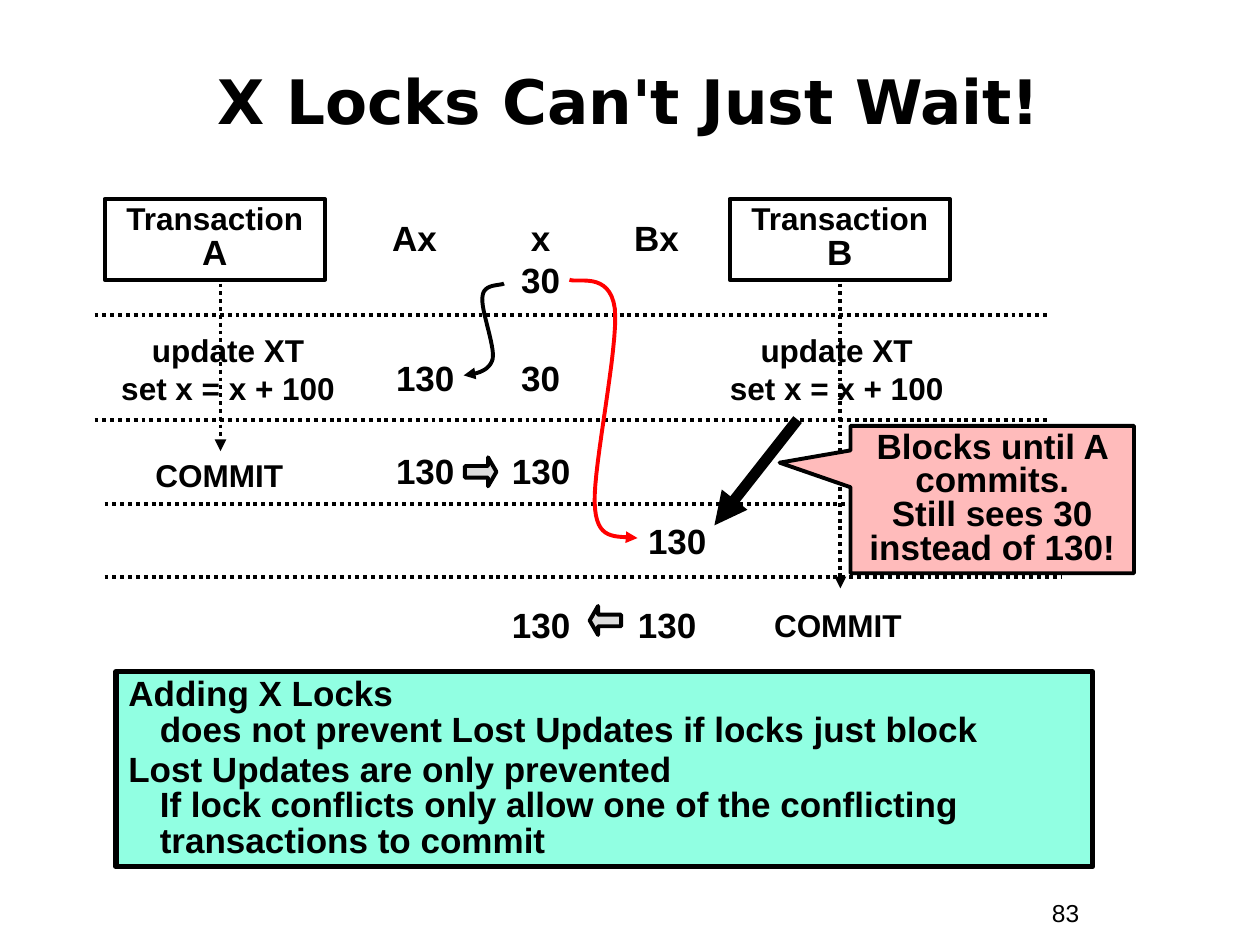
from dataclasses import dataclass

from lxml import etree
from pptx import Presentation
from pptx.dml.color import RGBColor
from pptx.enum.dml import MSO_LINE
from pptx.enum.shapes import MSO_CONNECTOR, MSO_SHAPE
from pptx.enum.text import MSO_ANCHOR, PP_ALIGN
from pptx.oxml.ns import qn
from pptx.util import Inches, Pt

LEFT, CENTER = PP_ALIGN.LEFT, PP_ALIGN.CENTER
TOP, MIDDLE = MSO_ANCHOR.TOP, MSO_ANCHOR.MIDDLE
RECTANGLE, CALLOUT = MSO_SHAPE.RECTANGLE, MSO_SHAPE.RECTANGULAR_CALLOUT
DOTTED = MSO_LINE.ROUND_DOT


@dataclass(frozen=True)
class Theme:
    ink: RGBColor = RGBColor(0, 0, 0)
    red: RGBColor = RGBColor(0xFF, 0, 0)
    mint: RGBColor = RGBColor(0x91, 0xFF, 0xE2)
    pink: RGBColor = RGBColor(0xFF, 0xBB, 0xBB)
    grey: RGBColor = RGBColor(0xDD, 0xDD, 0xDD)
    body_font: str = "Arial"
    title_font: str = "DejaVu Sans"
    title: int = 35
    value: int = 20
    label: int = 18
    number: int = 14
    line: float = 2.25
    frame: float = 3
    thick: float = 6.25


theme = Theme()


def write(shape, paragraphs, align=CENTER, anchor=TOP, spacing=1.0,
          font=theme.body_font, bold=True):
    """Fill a shape; each paragraph is a list of (text, size), "\\n" breaks a line."""
    frame = shape.text_frame
    frame.word_wrap = True
    frame.vertical_anchor = anchor
    for index, spans in enumerate(paragraphs):
        para = frame.add_paragraph() if index else frame.paragraphs[0]
        para.alignment = align
        para.line_spacing = spacing
        if index:
            para.space_before = Pt(2.5)
        for text, size in spans:
            for row, line in enumerate(text.split("\n")):
                if row:
                    para.add_line_break()
                span = para.add_run()
                span.text = line
                span.font.name = font
                span.font.size = Pt(size)
                span.font.bold = bold
                span.font.color.rgb = theme.ink


def outline(shape, width=theme.line, color=theme.ink, dash=None, arrow=False):
    shape.line.color.rgb = color
    shape.line.width = Pt(width)
    if dash:
        shape.line.dash_style = dash
    if arrow:
        etree.SubElement(shape.line._get_or_add_ln(), qn("a:tailEnd"), type="triangle")
    properties = shape._element.spPr
    if properties.find(qn("a:effectLst")) is None:
        etree.SubElement(properties, qn("a:effectLst"))


deck = Presentation()
deck.slide_width, deck.slide_height = Inches(10), Inches(7.5)
page = deck.slides.add_slide(deck.slide_layouts[6])
shapes = page.shapes

title = shapes.add_textbox(Inches(0.33), Inches(0.33), Inches(9.33), Inches(0.92))
write(title, [[("X Locks Can't Just Wait!", theme.title)]], anchor=MIDDLE,
      font=theme.title_font)
number = shapes.add_textbox(Inches(8.25), Inches(7.08), Inches(0.92), Inches(0.34))
write(number, [[("83", theme.number)]], align=LEFT, bold=False)

# Transaction headings
for name, left in (("A", 0.83), ("B", 5.79)):
    heading = shapes.add_shape(RECTANGLE, Inches(left), Inches(1.58),
                               Inches(1.75), Inches(0.64))
    heading.fill.background()
    outline(heading)
    write(heading, [[("Transaction ", theme.label), (name, theme.value)]], spacing=0.85)

# Time lines, step dividers and the pointer to the blocked update
for x1, y1, x2, y2, width, dash, arrow in (
    (1.75, 2.25, 1.75, 3.58, theme.line, DOTTED, True),
    (6.67, 2.25, 6.67, 4.67, theme.line, DOTTED, True),
    (0.75, 2.5, 8.33, 2.5, theme.line, DOTTED, False),
    (0.75, 3.33, 8.33, 3.33, theme.line, DOTTED, False),
    (0.83, 4, 8.33, 4, theme.line, DOTTED, False),
    (0.83, 4.58, 8.42, 4.58, theme.line, DOTTED, False),
    (6.33, 3.33, 5.67, 4.17, theme.thick, None, True),
):
    line = shapes.add_connector(MSO_CONNECTOR.STRAIGHT, Inches(x1), Inches(y1),
                                Inches(x2), Inches(y2))
    outline(line, width, dash=dash, arrow=arrow)

# Statements of each transaction
UPDATE = "update XT\nset x = x + 100"
for text, left, top, height in (
    (UPDATE, 0.85, 2.58, 0.7),
    (UPDATE, 5.68, 2.58, 0.7),
    ("COMMIT", 0.78, 3.57, 0.4),
    ("COMMIT", 5.69, 4.76, 0.4),
):
    box = shapes.add_textbox(Inches(left), Inches(top), Inches(1.92), Inches(height))
    write(box, [[(text, theme.label)]])

# Values of Ax, x and Bx at each step
for text, left, top in (
    ("Ax", 3, 1.67), ("x", 4, 1.67), ("Bx", 4.92, 1.67),
    ("30", 4, 2),
    ("130", 3, 2.78), ("30", 4, 2.78),
    ("130", 3, 3.52), ("130", 3.92, 3.52),
    ("130", 5, 4.07),
    ("130", 3.92, 4.74), ("130", 4.92, 4.74),
):
    width = 0.75 if text == "130" else 0.58
    box = shapes.add_textbox(Inches(left), Inches(top), Inches(width), Inches(0.43))
    write(box, [[(text, theme.value)]])

# Block arrows for the write-backs
for kind, left, top in ((MSO_SHAPE.RIGHT_ARROW, 3.69, 3.63),
                        (MSO_SHAPE.LEFT_ARROW, 4.68, 4.81)):
    write_back = shapes.add_shape(kind, Inches(left), Inches(top),
                                  Inches(0.25), Inches(0.23))
    write_back.adjustments[0], write_back.adjustments[1] = 0.4, 0.29
    write_back.fill.solid()
    write_back.fill.fore_color.rgb = theme.grey
    outline(write_back)

# Curved read arrows: a start point, then Bezier segments of two controls and an end
STEPS = 16
for color, start, segments in (
    (theme.ink, (4, 2.25), (
        ((3.97, 2.27), (3.84, 2.25), (3.83, 2.35)),
        ((3.81, 2.45), (3.93, 2.74), (3.91, 2.85)),
        ((3.88, 2.96), (3.75, 2.97), (3.68, 2.98)))),
    (theme.red, (4.52, 2.22), (
        ((4.58, 2.25), (4.84, 2.15), (4.88, 2.45)),
        ((4.91, 2.75), (4.71, 3.69), (4.72, 3.99)),
        ((4.73, 4.3), (4.88, 4.25), (5.06, 4.27)))),
):
    points = [start]
    for control_1, control_2, end in segments:
        origin = points[-1]
        for step in range(1, STEPS + 1):
            t = step / STEPS
            points.append(tuple(
                (1 - t) ** 3 * a + 3 * (1 - t) ** 2 * t * b + 3 * (1 - t) * t ** 2 * c + t ** 3 * d
                for a, b, c, d in zip(origin, control_1, control_2, end)))
    corners = [(Inches(x), Inches(y)) for x, y in points]
    builder = shapes.build_freeform(*corners[0])
    builder.add_line_segments(corners[1:], close=False)
    curve = builder.convert_to_shape()
    curve.fill.background()
    outline(curve, color=color, arrow=True)

# Conclusion
conclusion = shapes.add_shape(RECTANGLE, Inches(0.92), Inches(5.33),
                              Inches(7.75), Inches(1.55))
conclusion.fill.solid()
conclusion.fill.fore_color.rgb = theme.mint
outline(conclusion, theme.frame)
write(conclusion, [
    [("Adding X Locks\ndoes not prevent Lost Updates if locks just block", theme.value)],
    [("Lost Updates are only prevented\nIf lock conflicts only allow one of the "
      "conflicting transactions to commit", theme.value)],
], align=LEFT, spacing=0.85)
for para in conclusion.text_frame.paragraphs:
    indents = para._p.get_or_add_pPr()
    indents.set("marL", str(Inches(0.25)))
    indents.set("indent", str(Inches(-0.25)))

# Callout on the blocked update
callout = shapes.add_shape(CALLOUT, Inches(6.75), Inches(3.38), Inches(2.25), Inches(1.17))
callout.adjustments[0], callout.adjustments[1] = -0.75, -0.25
callout.fill.solid()
callout.fill.fore_color.rgb = theme.pink
outline(callout)
write(callout, [[("Blocks until A commits.\nStill sees 30\ninstead of 130!", theme.value)]],
      anchor=MIDDLE, spacing=0.8)

deck.save("out.pptx")
